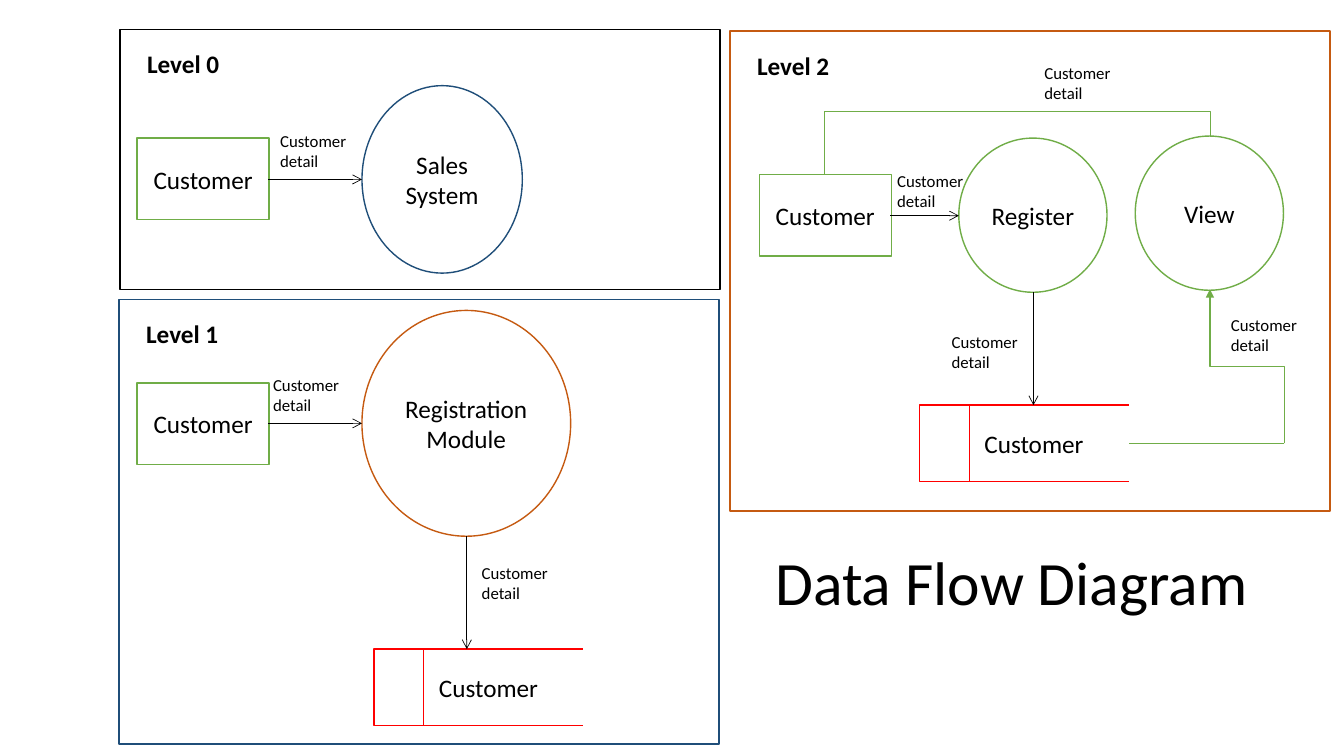
from lxml import etree
from pptx import Presentation
from pptx.dml.color import RGBColor
from pptx.enum.shapes import MSO_CONNECTOR, MSO_SHAPE
from pptx.enum.text import MSO_ANCHOR, PP_ALIGN
from pptx.oxml.ns import qn
from pptx.util import Inches, Pt

RECTANGLE, ELLIPSE = MSO_SHAPE.RECTANGLE, MSO_SHAPE.OVAL
STRAIGHT, ELBOW = MSO_CONNECTOR.STRAIGHT, MSO_CONNECTOR.ELBOW
CENTER, LEFT = PP_ALIGN.CENTER, PP_ALIGN.LEFT
MIDDLE, TOP = MSO_ANCHOR.MIDDLE, MSO_ANCHOR.TOP

BLACK, WHITE, GREEN, BLUE, ORANGE, RED = (
    "000000", "FFFFFF", "70AD47", "1F4E79", "C55A11", "FF0000")

ENTITY_SIZE = (1.31, 0.81)
STORE_SIZE = (2.27, 0.76)
LABEL_SIZE = (0.86, 0.5)
HEADING_SIZE = (0.92, 0.4)
PANEL_WIDTH = 5.95

processes = [
    ("Sales System", 3.59, 0.85, 1.59, 1.86, BLUE),
    ("Registration\vModule", 3.59, 3.08, 2.07, 2.24, ORANGE),
    ("Register", 9.51, 1.37, 1.47, 1.53, GREEN),
    ("View", 11.26, 1.35, 1.47, 1.53, GREEN),
]
entities = [(1.36, 1.37), (1.36, 3.8), (7.53, 1.73)]
stores = [(3.71, 6.44), (9.12, 4.02)]
flows = [
    (2.66, 1.78, 3.59, 1.78),
    (2.66, 4.2, 3.59, 4.2),
    (4.63, 5.32, 4.63, 6.44),
    (8.83, 2.14, 9.51, 2.14),
    (10.25, 2.9, 10.25, 4.02),
]
panels = [
    ("Level 0", 1.19, 0.29, 2.58, BLACK),
    ("Level 1", 1.18, 2.97, 4.41, BLUE),
    ("Level 2", 7.24, 0.31, 4.76, ORANGE),
]
flow_labels = [
    (2.68, 1.25), (2.61, 3.67), (4.68, 5.53), (8.8, 1.64),
    (9.34, 3.24), (10.26, 0.57), (12.11, 3.07),
]

presentation = Presentation()
presentation.slide_width = Inches(13.33)
presentation.slide_height = Inches(7.5)
slide = presentation.slides.add_slide(presentation.slide_layouts[6])


def color(value):
    return RGBColor.from_string(value)


def write(text_frame, text, size, align, anchor, bold=False):
    text_frame.text = text
    text_frame.vertical_anchor = anchor
    for paragraph in text_frame.paragraphs:
        paragraph.alignment = align
        for run in paragraph.runs:
            run.font.name = "Calibri"
            run.font.size = Pt(size)
            run.font.bold = bold
            run.font.color.rgb = color(BLACK)


def add_box(kind, left, top, width, height, line, text="", fill=WHITE):
    shape = slide.shapes.add_shape(
        kind, Inches(left), Inches(top), Inches(width), Inches(height))
    shape.shadow.inherit = False
    if fill:
        shape.fill.solid()
        shape.fill.fore_color.rgb = color(fill)
    else:
        shape.fill.background()
    shape.line.color.rgb = color(line)
    shape.line.width = Pt(1)
    if text:
        write(shape.text_frame, text, 18, CENTER, MIDDLE)


def add_text(left, top, size, text, points, bold=False):
    box = slide.shapes.add_textbox(
        Inches(left), Inches(top), Inches(size[0]), Inches(size[1]))
    box.text_frame.word_wrap = False
    write(box.text_frame, text, points, LEFT, TOP, bold)


def add_line(start_x, start_y, end_x, end_y, line, width, arrow=None, kind=STRAIGHT):
    connector = slide.shapes.add_connector(
        kind, Inches(start_x), Inches(start_y), Inches(end_x), Inches(end_y))
    connector.line.color.rgb = color(line)
    connector.line.width = Pt(width)
    properties = connector._element.spPr
    etree.SubElement(properties, qn("a:effectLst"))
    if arrow:
        outline = properties.find(qn("a:ln"))
        etree.SubElement(outline, qn("a:tailEnd"), type=arrow)
    return connector


def add_elbow(start_x, start_y, end_x, end_y, width, degrees, flips, bend, arrow=None):
    center_x, center_y = (start_x + end_x) / 2, (start_y + end_y) / 2
    half_length, half_span = abs(end_y - start_y) / 2, abs(end_x - start_x) / 2
    connector = add_line(
        center_x - half_length, center_y - half_span,
        center_x + half_length, center_y + half_span, GREEN, width, arrow, ELBOW)
    properties = connector._element.spPr
    transform = properties.find(qn("a:xfrm"))
    transform.set("rot", str(degrees * 60000))
    for flip in flips:
        transform.set(flip, "1")
    adjustments = properties.find(qn("a:prstGeom")).find(qn("a:avLst"))
    etree.SubElement(
        adjustments, qn("a:gd"), name="adj1", fmla=f"val {round(bend * 100000)}")


def add_store(left, top):
    width, height = STORE_SIZE
    add_box(RECTANGLE, left, top, width, height, RED, "Customer")
    add_box(RECTANGLE, left + 2.08, top - 0.26, 0.71, 1.31, WHITE)
    add_line(left + 0.49, top, left + 0.49, top + height, RED, 0.5)


for left, top in stores:
    add_store(left, top)
for text, left, top, width, height, line in processes:
    add_box(ELLIPSE, left, top, width, height, line, text)
for left, top in entities:
    add_box(RECTANGLE, left, top, *ENTITY_SIZE, GREEN, "Customer")
for flow in flows:
    add_line(*flow, BLACK, 0.5, "arrow")

add_elbow(8.18, 1.73, 12, 1.35, 0.5, 90, ("flipH", "flipV"), 1.656)
add_line(12.74, 4.4, 11.2, 4.4, GREEN, 1)
add_elbow(12.74, 4.4, 12, 2.87, 1, 270, ("flipV",), 0.5, "triangle")

for text, left, top, height, line in panels:
    add_box(RECTANGLE, left, top, PANEL_WIDTH, height, line, fill=None)
    add_text(left + 0.17, top + 0.14, HEADING_SIZE, text, 18, True)

add_text(7.59, 5.35, (4.94, 0.84), "Data Flow Diagram", 44)
for left, top in flow_labels:
    add_text(left, top, LABEL_SIZE, "Customer\ndetail", 12)

presentation.save("out.pptx")
